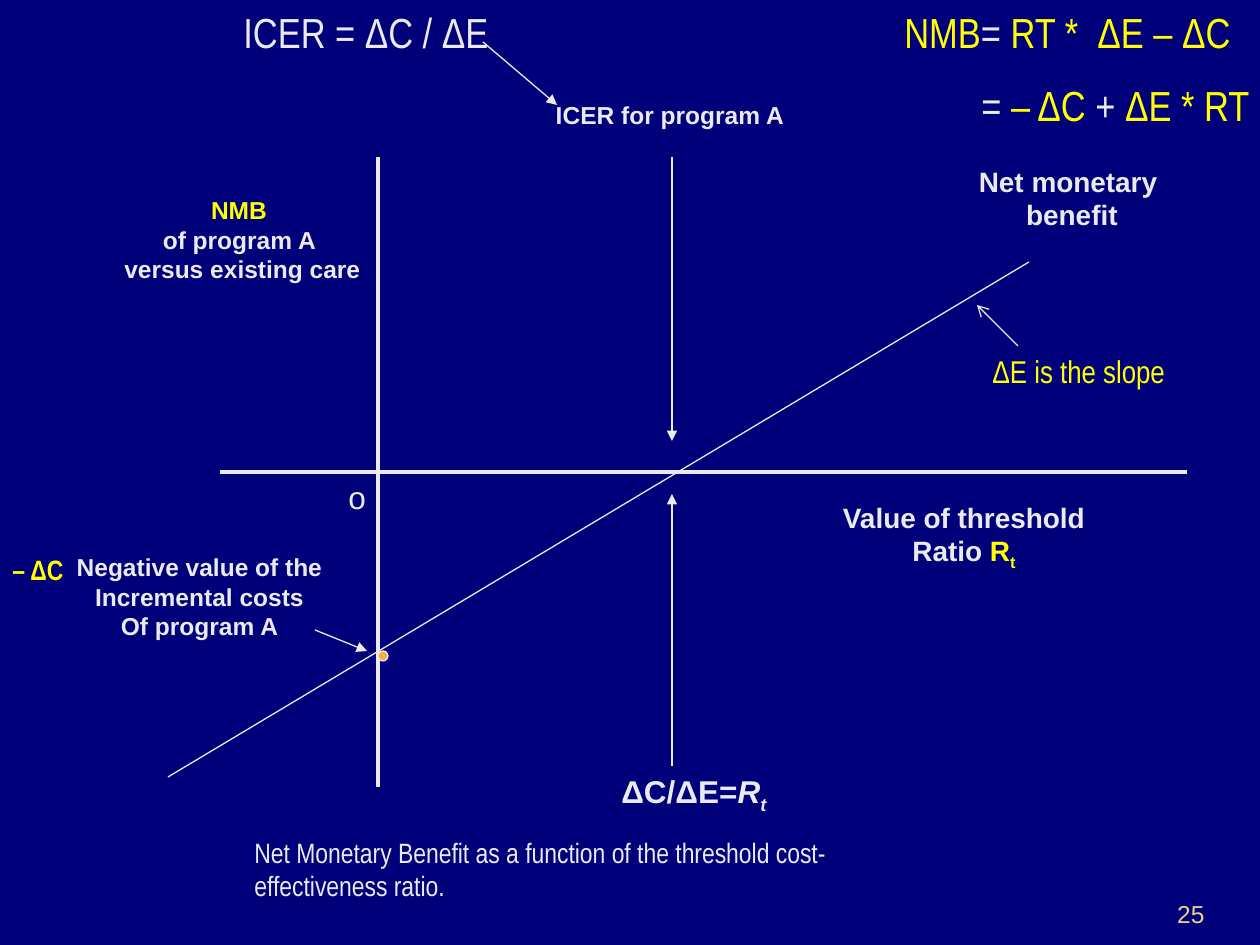
"""Builds the net monetary benefit chart slide."""
from lxml import etree
from pptx import Presentation
from pptx.dml.color import RGBColor
from pptx.enum.shapes import MSO_CONNECTOR, MSO_SHAPE
from pptx.enum.text import MSO_ANCHOR, MSO_AUTO_SIZE, PP_ALIGN
from pptx.oxml.ns import qn
from pptx.util import Emu, Pt

STRAIGHT, OVAL = MSO_CONNECTOR.STRAIGHT, MSO_SHAPE.OVAL
LEFT, CENTER, RIGHT = PP_ALIGN.LEFT, PP_ALIGN.CENTER, PP_ALIGN.RIGHT
TOP, BOTTOM = MSO_ANCHOR.TOP, MSO_ANCHOR.BOTTOM
GROW, FIXED = MSO_AUTO_SIZE.SHAPE_TO_FIT_TEXT, MSO_AUTO_SIZE.NONE
SCALE = 914400 // 126

THEME = {
    "background": "00007A", "light": "EAEAEA", "accent": "FFFF00",
    "number": "EBD189", "dot": "FCAB40",
    "plain": "Arial", "narrow": "Arial Narrow",
    "small": 14, "medium": 16, "large": 18, "formula": 24,
    "axis": 2, "thin": 0.75, "gap": 13,
}

LINES = [
    ((220, 472), (1187, 472), "axis", None),
    ((378, 157), (378, 787), "axis", None),
    ((672, 157), (672, 441), "thin", "triangle"),
    ((672, 766), (672, 494), "thin", "triangle"),
    ((168, 777), (1029, 262), "thin", None),
    ((315, 630), (367, 651), "thin", "triangle"),
    ((483, 42), (557, 105), "thin", "triangle"),
    ((1018, 346), (977, 305), "thin", "arrow"),
]
INTERCEPT = (378, 651, 10, 10)

BOLD = {"bold": True}
SUBSCRIPT = {"subscript": True}
ACCENT = {"color": "accent"}

TEXTS = [
    {"box": (110, 189, 265, 102), "size": "small", "style": BOLD, "align": CENTER, "wrap": False,
     "lines": [[("NMB ", ACCENT)], [("of program A ", {})], [("versus existing care", {})]]},
    {"box": (32, 546, 335, 102), "size": "small", "style": BOLD, "align": CENTER,
     "lines": [[("Negative value of the", {})], [("Incremental costs", {})], [("Of program A", {})]]},
    {"box": (336, 472, 43, 50), "size": "large", "wrap": False, "lines": [[("o", {})]]},
    {"box": (543, 94, 254, 42), "size": "small", "style": BOLD, "align": CENTER, "wrap": False,
     "lines": [[("ICER for program A", {})]]},
    {"box": (609, 766, 173, 50), "size": "large", "style": BOLD, "wrap": False,
     "lines": [[("ΔC/ΔE=", {}), ("R", {"italic": True}), ("t", {"italic": True, **SUBSCRIPT})]]},
    {"box": (829, 494, 270, 81), "size": "medium", "style": BOLD, "align": CENTER, "wrap": False,
     "lines": [[("Value of threshold", {})],
               [("Ratio ", {}), ("R", ACCENT), ("t", {**ACCENT, **SUBSCRIPT})]]},
    {"box": (966, 158, 212, 81), "size": "medium", "style": BOLD, "align": CENTER, "wrap": False,
     "lines": [[("Net monetary ", {})], [("benefit", {})]]},
    {"box": (242, 829, 714, 81), "size": "medium", "font": "narrow",
     "lines": [[("Net Monetary Benefit as a function of the threshold cost-effectiveness ratio.", {})]]},
    {"box": (231, 0, 336, 63), "size": "formula", "font": "narrow", "lines": [[("ICER = ΔC / ΔE ", {})]]},
    {"box": (892, 0, 451, 140), "size": "formula", "font": "narrow", "indent": 77, "gap": "gap",
     "lines": [[("NMB", ACCENT), ("= ", {}), ("RT *  ΔE – ΔC ", ACCENT)],
               [("= ", {}), ("– ΔC", ACCENT), (" + ", {}), ("ΔE * RT", ACCENT)]]},
    {"box": (980, 346, 280, 50), "size": "large", "font": "narrow", "style": ACCENT,
     "lines": [[("ΔE is the slope ", {})]]},
    {"box": (0, 546, 77, 47), "size": "medium", "font": "narrow", "style": {**BOLD, **ACCENT}, "wrap": False,
     "lines": [[("– ΔC", {})]]},
    {"box": (955, 872, 262, 63), "size": "small", "style": {"color": "number"}, "align": RIGHT,
     "anchor": BOTTOM, "fit": FIXED, "lines": [[("25", {})]]},
]


def pixels(*values):
    return [Emu(value * SCALE) for value in values]


def color(name):
    return RGBColor.from_string(THEME[name])


def add_line(slide, start, end, weight, arrow):
    connector = slide.shapes.add_connector(STRAIGHT, *pixels(*start, *end))
    connector.line.color.rgb = color("light")
    connector.line.width = Pt(THEME[weight])
    if arrow:
        etree.SubElement(connector.line._get_or_add_ln(), qn("a:tailEnd"), type=arrow)
    etree.SubElement(connector._element.spPr, qn("a:effectLst"))


def add_run(paragraph, text, style, font, size):
    run = paragraph.add_run()
    run.text = text
    run.font.name = THEME[font]
    run.font.size = Pt(THEME[size])
    run.font.bold = style.get("bold", False)
    run.font.italic = style.get("italic", False)
    run.font.color.rgb = color(style.get("color", "light"))
    if style.get("subscript"):
        run._r.get_or_add_rPr().set("baseline", "-25000")


def add_text(slide, item):
    frame = slide.shapes.add_textbox(*pixels(*item["box"])).text_frame
    frame.word_wrap = item.get("wrap", True)
    frame.auto_size = item.get("fit", GROW)
    frame.vertical_anchor = item.get("anchor", TOP)
    for index, runs in enumerate(item["lines"]):
        paragraph = frame.add_paragraph() if index else frame.paragraphs[0]
        paragraph.alignment = item.get("align", LEFT)
        if index and "gap" in item:
            paragraph.space_before = Pt(THEME[item["gap"]])
        if index and "indent" in item:
            paragraph._p.get_or_add_pPr().set("marL", str(item["indent"] * SCALE))
        for text, style in runs:
            add_run(paragraph, text, {**item.get("style", {}), **style},
                    item.get("font", "plain"), item["size"])


presentation = Presentation()
presentation.slide_width, presentation.slide_height = pixels(1260, 945)
slide = presentation.slides.add_slide(presentation.slide_layouts[6])
slide.background.fill.solid()
slide.background.fill.fore_color.rgb = color("background")

for line in LINES:
    add_line(slide, *line)

intercept = slide.shapes.add_shape(OVAL, *pixels(*INTERCEPT))
intercept.shadow.inherit = False
intercept.fill.solid()
intercept.fill.fore_color.rgb = color("dot")
intercept.line.color.rgb = color("light")
intercept.line.width = Pt(THEME["thin"])

for item in TEXTS:
    add_text(slide, item)

presentation.save("out.pptx")
